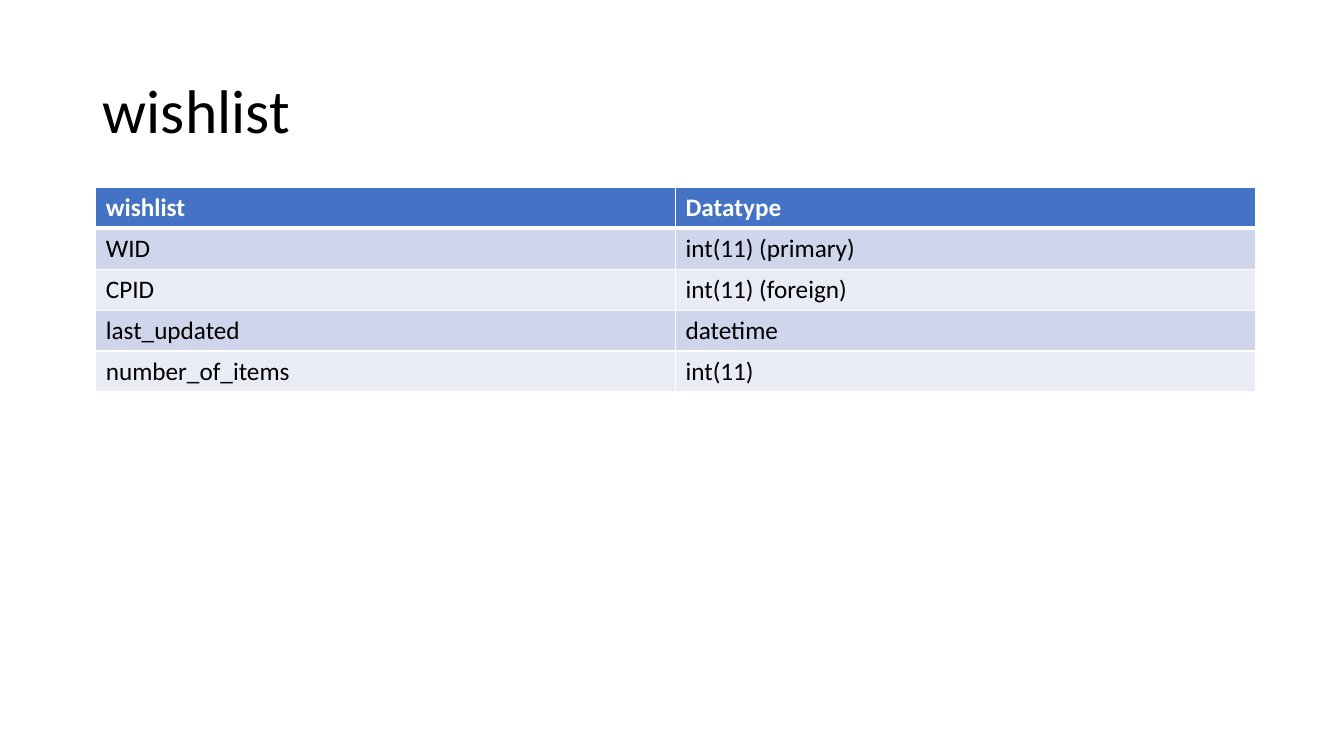
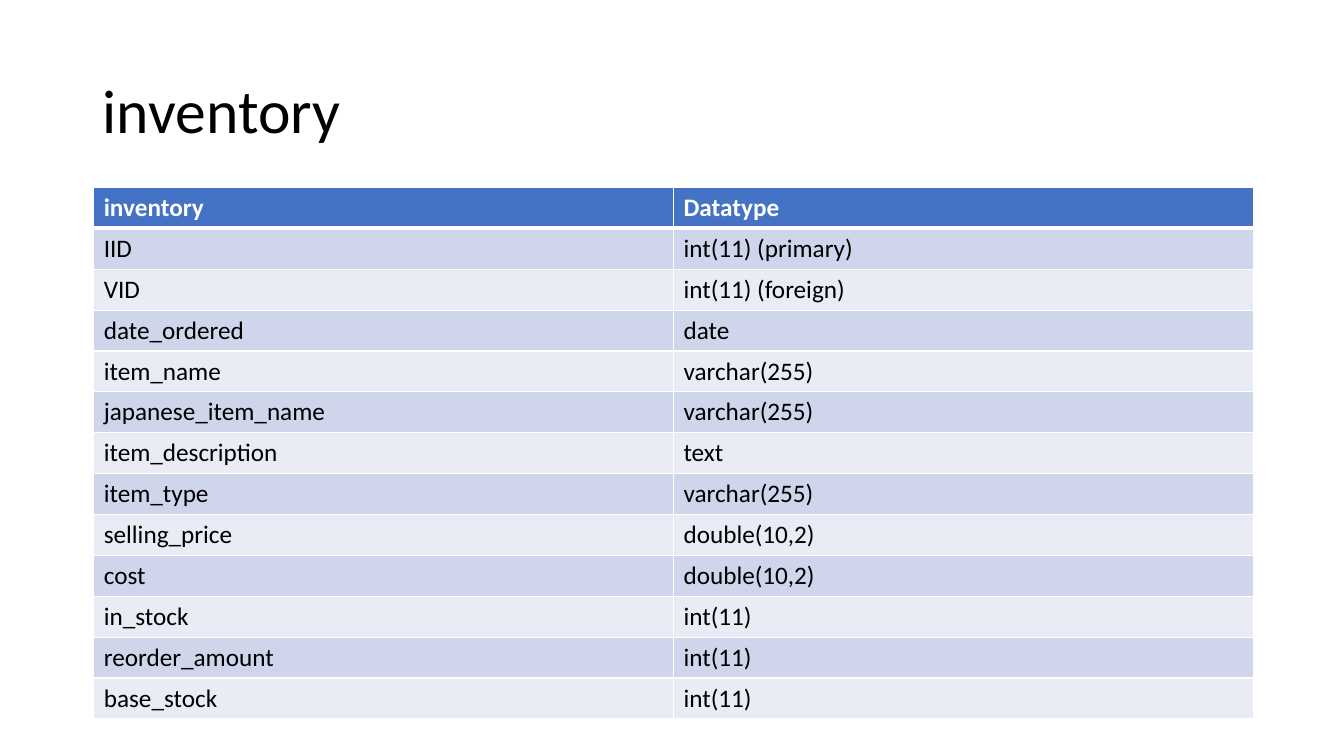
from lxml import etree
from pptx import Presentation
from pptx.dml.color import RGBColor
from pptx.enum.text import MSO_ANCHOR, MSO_AUTO_SIZE, PP_ALIGN
from pptx.oxml.ns import qn
from pptx.util import Inches, Pt

LEFT = PP_ALIGN.LEFT
MIDDLE = MSO_ANCHOR.MIDDLE
NO_FIT = MSO_AUTO_SIZE.NONE

# Shared style
FONT = "Calibri"
BLACK = RGBColor(0x00, 0x00, 0x00)
WHITE = RGBColor(0xFF, 0xFF, 0xFF)
HEADER = RGBColor(0x44, 0x72, 0xC4)
BANDS = [RGBColor(0xE9, 0xEB, 0xF5), RGBColor(0xCF, 0xD5, 0xEA)]
TABLE_TOP = Inches(1.86)
TABLE_W = Inches(11.5)
ROW_H = Inches(5.27) // 13

# Table name, left edge in inches, columns with their datatypes
TABLES = [
    ("wishlist", 0.95, [
        ("WID", "int(11) (primary)"),
        ("CPID", "int(11) (foreign)"),
        ("last_updated", "datetime"),
        ("number_of_items", "int(11)"),
    ]),
    ("inventory", 0.93, [
        ("IID", "int(11) (primary)"),
        ("VID", "int(11) (foreign)"),
        ("date_ordered", "date"),
        ("item_name", "varchar(255)"),
        ("japanese_item_name", "varchar(255)"),
        ("item_description", "text"),
        ("item_type", "varchar(255)"),
        ("selling_price", "double(10,2)"),
        ("cost", "double(10,2)"),
        ("in_stock", "int(11)"),
        ("reorder_amount", "int(11)"),
        ("base_stock", "int(11)"),
    ]),
]


def set_text(tf, text, size, color=BLACK, bold=False, spacing=1.0):
    p = tf.paragraphs[0]
    p.alignment = LEFT
    p.line_spacing = spacing
    r = p.add_run()
    r.text = text
    r.font.name = FONT
    r.font.size = Pt(size)
    r.font.bold = bold
    r.font.color.rgb = color


def set_borders(cell, **widths):
    tcPr = cell._tc.get_or_add_tcPr()
    for side in "LRTB":
        ln = etree.SubElement(tcPr, qn(f"a:ln{side}"), w=str(Pt(widths.get(side, 1))))
        fill = etree.SubElement(ln, qn("a:solidFill"))
        etree.SubElement(fill, qn("a:srgbClr"), val=str(WHITE))


prs = Presentation()
prs.slide_width = Inches(13.33)
prs.slide_height = Inches(7.5)

# Title position, inherited by every slide
layout = prs.slide_layouts.get_by_name("Title Only")
title = layout.placeholders[0]
title.left, title.top = Inches(0.92), Inches(0.4)
title.width, title.height = Inches(11.5), Inches(1.45)

for name, left, columns in TABLES:
    s = prs.slides.add_slide(layout)

    # Title
    tf = s.shapes.title.text_frame
    tf.vertical_anchor = MIDDLE
    tf.auto_size = NO_FIT
    set_text(tf, name, 44, spacing=0.9)

    # Table with a header row and banded body
    rows = [(name, "Datatype")] + columns
    table = s.shapes.add_table(len(rows), 2, Inches(left), TABLE_TOP,
                               TABLE_W, ROW_H * len(rows)).table
    for i, row in enumerate(rows):
        is_header = i == 0
        for j, text in enumerate(row):
            cell = table.cell(i, j)
            set_borders(cell, T=3 if i == 1 else 1, B=3 if is_header else 1)
            cell.fill.solid()
            cell.fill.fore_color.rgb = HEADER if is_header else BANDS[i % 2]
            set_text(cell.text_frame, text, 18, bold=is_header,
                     color=WHITE if is_header else BLACK)

prs.save("out.pptx")
